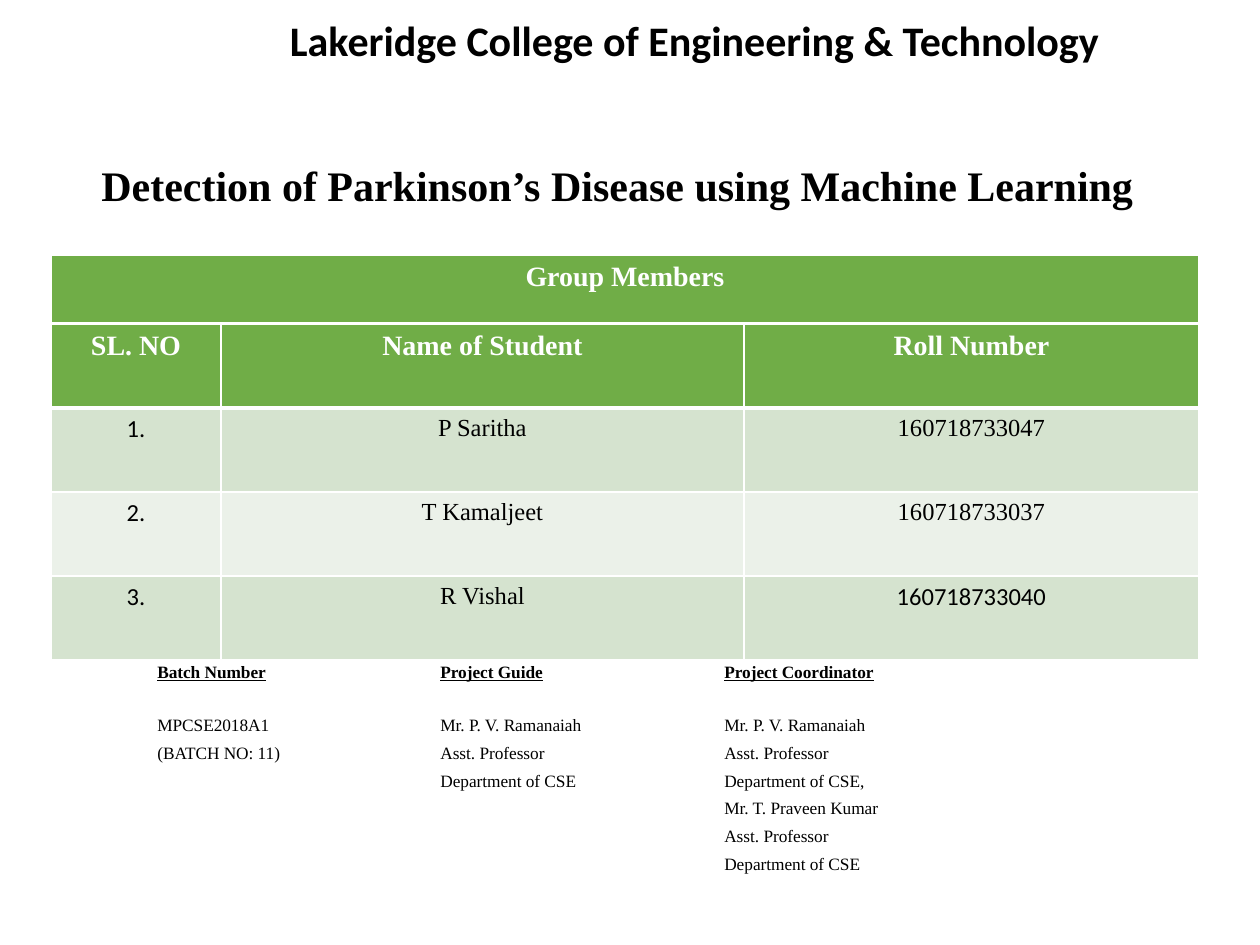
import pptx
import pptx.util
import pptx.dml.color
import pptx.enum.text
import pptx.oxml
import pptx.oxml.ns

BLACK = pptx.dml.color.RGBColor(0x00, 0x00, 0x00)
WHITE = pptx.dml.color.RGBColor(0xFF, 0xFF, 0xFF)
GREEN = pptx.dml.color.RGBColor(0x70, 0xAD, 0x47)
SAGE = pptx.dml.color.RGBColor(0xD5, 0xE3, 0xCF)
MIST = pptx.dml.color.RGBColor(0xEB, 0xF1, 0xE9)

SANS = "Calibri"
SERIF = "Times New Roman"
ALIGN = pptx.enum.text.PP_ALIGN
ANCHOR = pptx.enum.text.MSO_ANCHOR
AUTO_SIZE = pptx.enum.text.MSO_AUTO_SIZE
PX_PER_INCH = 126

STUDENTS = [
    ("1.", "P Saritha", "160718733047"),
    ("2.", "T Kamaljeet", "160718733037"),
    ("3.", "R Vishal", "160718733040"),
]
STAFF_HEADINGS = ["Batch Number", "Project Guide", "Project Coordinator"]
STAFF_LINES = [
    ("MPCSE2018A1", "Mr. P. V. Ramanaiah", "Mr. P. V. Ramanaiah"),
    ("(BATCH NO: 11)", "Asst. Professor", "Asst. Professor"),
    ("", "Department of CSE", "Department of CSE,"),
    ("", "", "Mr. T. Praveen Kumar"),
    ("", "", "Asst. Professor"),
    ("", "", "Department of CSE"),
]


def px(length):
    return pptx.util.Emu(round(length * 914400 / PX_PER_INCH))


def add_run(paragraph, text, size, font=SERIF, color=BLACK, bold=False, underline=False):
    run = paragraph.add_run()
    run.text = text
    run.font.size = pptx.util.Pt(size)
    run.font.name = font
    run.font.color.rgb = color
    run.font.bold = bold
    run.font.underline = underline


def add_text_box(slide, box):
    frame = slide.shapes.add_textbox(*map(px, box)).text_frame
    frame.word_wrap = True
    return frame


def place_college(slide, box):
    college = slide.shapes.title
    college.left, college.top, college.width, college.height = map(px, box)
    frame = college.text_frame
    frame.auto_size = AUTO_SIZE.NONE
    frame.vertical_anchor = ANCHOR.MIDDLE
    frame.margin_left = px(146)
    line = frame.paragraphs[0]
    line.alignment = ALIGN.LEFT
    line.line_spacing = 0.9
    add_run(line, "Lakeridge College of Engineering & Technology", 24, SANS, bold=True)


def place_project_name(slide, box):
    frame = add_text_box(slide, box)
    frame.auto_size = AUTO_SIZE.SHAPE_TO_FIT_TEXT
    line = frame.paragraphs[0]
    line.alignment = ALIGN.CENTER
    line.line_spacing = 1.5
    add_run(line, "Detection of Parkinson’s Disease using Machine Learning", 24, bold=True)


def set_borders(cell, bottom_width):
    properties = cell._tc.get_or_add_tcPr()
    for side, width in zip("LRTB", (1, 1, 1, bottom_width)):
        properties.append(pptx.oxml.parse_xml(
            f'<a:ln{side} {pptx.oxml.ns.nsdecls("a")} w="{pptx.util.Pt(width)}">'
            f'<a:solidFill><a:srgbClr val="{WHITE}"/></a:solidFill></a:ln{side}>'))


def fill_cell(cell, text, fill, size, font=SERIF, color=BLACK, bold=False, bottom_width=1):
    set_borders(cell, bottom_width)
    cell.fill.solid()
    cell.fill.fore_color.rgb = fill
    line = cell.text_frame.paragraphs[0]
    line.alignment = ALIGN.CENTER
    add_run(line, text, size, font, color, bold)


def fill_heading(cell, text):
    fill_cell(cell, text, GREEN, 16, color=WHITE, bold=True, bottom_width=3)


def add_grid(slide, box, row_count, column_widths):
    grid = slide.shapes.add_table(row_count, len(column_widths), *map(px, box)).table
    for column, width in zip(grid.columns, column_widths):
        column.width = px(width)
    for row in grid.rows:
        row.height = px(box[3] // row_count)
    return grid


def place_group_heading(slide, box):
    group = add_grid(slide, box, 1, [box[2]])
    fill_heading(group.cell(0, 0), "Group Members")


def place_students(slide, box):
    number_width, name_width = 170, 523
    widths = [number_width, name_width, box[2] - number_width - name_width]
    members = add_grid(slide, box, len(STUDENTS) + 1, widths)
    for column, heading in enumerate(["SL. NO", "Name of Student", "Roll Number"]):
        fill_heading(members.cell(0, column), heading)
    for row, student in enumerate(STUDENTS, start=1):
        for column, value in enumerate(student):
            font = SANS if column == 0 or (row, column) == (3, 2) else SERIF
            fill_cell(members.cell(row, column), value, SAGE if row % 2 else MIST, 14, font)


def set_tabs(paragraph, positions):
    stops = "".join(f'<a:tab pos="{px(position)}" algn="l"/>' for position in positions)
    paragraph._p.get_or_add_pPr().append(pptx.oxml.parse_xml(
        f'<a:tabLst {pptx.oxml.ns.nsdecls("a")}>{stops}</a:tabLst>'))


def place_staff(slide, box):
    frame = add_text_box(slide, box)
    for index, entries in enumerate([STAFF_HEADINGS, *STAFF_LINES]):
        line = frame.paragraphs[0] if index == 0 else frame.add_paragraph()
        line.alignment = ALIGN.LEFT
        line.line_spacing = 0.7
        line.space_before = pptx.util.Pt(22 if index == 1 else 7.5)
        set_tabs(line, [95, 378, 662])
        heading = index == 0
        for entry in entries:
            add_run(line, "\t", 9.9)
            if entry:
                add_run(line, entry, 9.9, bold=heading, underline=heading)


def main():
    presentation = pptx.Presentation()
    presentation.slide_width = px(1260)
    presentation.slide_height = px(945)
    slide = presentation.slides.add_slide(presentation.slide_layouts[5])
    place_college(slide, (144, 0, 990, 86))
    place_staff(slide, (50, 661, 1174, 238))
    place_project_name(slide, (50, 128, 1135, 80))
    place_group_heading(slide, (51, 255, 1148, 69))
    place_students(slide, (51, 324, 1148, 336))
    presentation.save("out.pptx")


if __name__ == "__main__":
    main()
